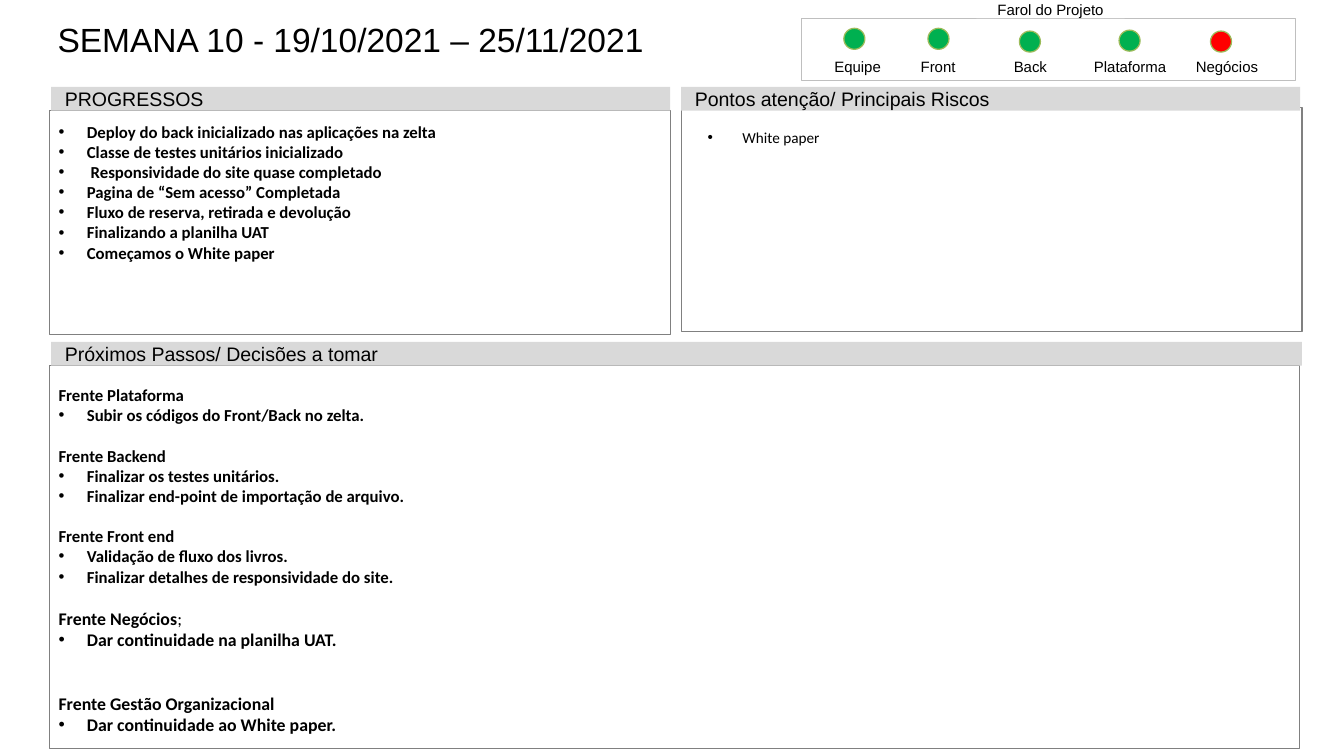
from lxml import etree
from pptx import Presentation
from pptx.dml.color import RGBColor
from pptx.enum.shapes import MSO_SHAPE
from pptx.enum.text import MSO_ANCHOR, MSO_AUTO_SIZE, PP_ALIGN
from pptx.oxml.ns import qn
from pptx.util import Inches, Pt

RECTANGLE, OVAL = MSO_SHAPE.RECTANGLE, MSO_SHAPE.OVAL
TOP, MIDDLE, BOTTOM = MSO_ANCHOR.TOP, MSO_ANCHOR.MIDDLE, MSO_ANCHOR.BOTTOM
LEFT, CENTER = PP_ALIGN.LEFT, PP_ALIGN.CENTER
COMPARISON_LAYOUT = 4
COLORS = {
    "text": "000000", "white": "FFFFFF", "band": "D9D9D9", "frame": "808080",
    "status_frame": "BFBFBF", "light_edge": "9BBB59",
    "green": "00B050", "red": "FF0000",
}


class StatusSlide:
    """Draws the elements of a weekly status slide in one style."""

    def __init__(self, slide):
        self.slide = slide
        self.heading_font, self.list_font = "Arial", "Calibri"

    def color(self, name):
        return RGBColor.from_string(COLORS[name])

    def place(self, shape, box):
        shape.left, shape.top, shape.width, shape.height = map(Inches, box)

    def outline(self, shape, color, width):
        shape.line.color.rgb = self.color(color)
        shape.line.width = Pt(width)

    def frame_text(self, shape, anchor, insets, wrap=True):
        text_frame = shape.text_frame
        text_frame.auto_size = MSO_AUTO_SIZE.NONE
        text_frame.word_wrap = wrap
        text_frame.vertical_anchor = anchor
        (text_frame.margin_left, text_frame.margin_top,
         text_frame.margin_right, text_frame.margin_bottom) = map(Inches, insets)
        return text_frame

    def add_run(self, paragraph, text, font, size, bold=False):
        run = paragraph.add_run()
        run.text = text
        run.font.name, run.font.size, run.font.bold = font, Pt(size), bold
        run.font.color.rgb = self.color("text")

    def title(self, text, box):
        shape = self.slide.shapes.title
        self.place(shape, box)
        paragraph = self.frame_text(shape, TOP, (0.12, 0.01, 0.12, 0)).paragraphs[0]
        paragraph.alignment = LEFT
        self.add_run(paragraph, text, self.heading_font, 26.4)

    def shape(self, kind, box, fill=None, line=None, width=1):
        shape = self.slide.shapes.add_shape(kind, *map(Inches, box))
        shape.shadow.inherit = False
        if fill:
            shape.fill.solid()
            shape.fill.fore_color.rgb = self.color(fill)
        else:
            shape.fill.background()
        if line:
            self.outline(shape, line, width)
        else:
            shape.line.fill.background()
        return shape

    def band(self, text, box):
        shape = self.shape(RECTANGLE, box, "band")
        paragraph = self.frame_text(shape, MIDDLE, (0.15, 0, 0.15, 0)).paragraphs[0]
        paragraph.alignment = LEFT
        self.add_run(paragraph, text, self.heading_font, 15.4)

    def label(self, text, box, fill=None):
        shape = self.shape(RECTANGLE, box, fill)
        text_frame = self.frame_text(shape, BOTTOM, (0.06, 0, 0.06, 0), wrap=False)
        paragraph = text_frame.paragraphs[0]
        paragraph.alignment = CENTER
        self.add_run(paragraph, text, self.heading_font, 11.8)

    def list_panel(self, index, box, insets, items, indent=0.31):
        """Fill a body placeholder; each item is (runs, size, gap, bulleted)."""
        shape = self.slide.placeholders[index]
        self.place(shape, box)
        self.outline(shape, "frame", 1)
        text_frame = self.frame_text(shape, TOP, insets)
        for number, (runs, size, gap, bulleted) in enumerate(items):
            paragraph = text_frame.add_paragraph() if number else text_frame.paragraphs[0]
            paragraph.alignment = LEFT
            paragraph.space_before, paragraph.space_after = Pt(gap), Pt(0)
            self.set_bullet(paragraph, indent if bulleted else 0)
            for text, bold in runs:
                self.add_run(paragraph, text, self.list_font, size, bold)

    def set_bullet(self, paragraph, indent):
        properties = paragraph._p.get_or_add_pPr()
        properties.set("marL", str(Inches(indent)))
        properties.set("indent", str(-Inches(indent)))
        if indent:
            etree.SubElement(properties, qn("a:buFont")).set("typeface", "Arial")
            etree.SubElement(properties, qn("a:buChar")).set("char", "•")
        else:
            etree.SubElement(properties, qn("a:buNone"))


presentation = Presentation()
presentation.slide_width, presentation.slide_height = Inches(14.7), Inches(8.27)
slide = presentation.slides.add_slide(presentation.slide_layouts[COMPARISON_LAYOUT])
status = StatusSlide(slide)
unused = slide.placeholders[3]
unused.element.getparent().remove(unused.element)

status.title("SEMANA 10 - 19/10/2021 – 25/11/2021", (0.51, 0.2, 8, 0.7))

PROGRESS = [
    "Deploy do back inicializado nas aplicações na zelta",
    "Classe de testes unitários inicializado",
    " Responsividade do site quase completado",
    "Pagina de “Sem acesso” Completada",
    "Fluxo de reserva, retirada e devolução",
    "Finalizando a planilha UAT",
    "Começamos o White paper",
]
FRONTS = [
    ("Frente Plataforma", "", 13.2, 0, ["Subir os códigos do Front/Back no zelta."]),
    ("Frente Backend", "", 13.2, 16, 
     ["Finalizar os testes unitários.", "Finalizar end-point de importação de arquivo."]),
    ("Frente Front end", "", 13.2, 16,
     ["Validação de fluxo dos livros.", "Finalizar detalhes de responsividade do site."]),
    ("Frente Negócios", ";", 14, 16.5, ["Dar continuidade na planilha UAT."]),
    ("Frente Gestão Organizacional", "", 14, 33.5, ["Dar continuidade ao White paper."]),
]
next_steps = []
for front, ending, size, gap, tasks in FRONTS:
    heading = [(front, True)] + ([(ending, False)] if ending else [])
    next_steps.append((heading, size, gap, False))
    next_steps += [([(task, True)], size, 0, True) for task in tasks]

status.list_panel(1, (0.54, 1.21, 6.79, 2.45), (0.1, 0.12, 0.1, 0.05),
                  [([(text, True)], 13.2, 0, True) for text in PROGRESS])
status.list_panel(2, (7.45, 1.18, 6.79, 2.45), (0.29, 0.22, 0.1, 0.05),
                  [([("White paper", False)], 12, 0, True)], indent=0.38)
status.list_panel(4, (0.54, 4, 13.67, 4.19), (0.1, 0.21, 0.1, 0.05), next_steps)

for text, left, top, width in [
    ("PROGRESSOS", 0.56, 0.95, 6.77),
    ("Pontos atenção/ Principais Riscos", 7.45, 0.95, 6.77),
    ("Próximos Passos/ Decisões a tomar", 0.56, 3.74, 13.68),
]:
    status.band(text, (left, top, width, 0.26))

status.shape(RECTANGLE, (8.77, 0.2, 5.4, 0.68), line="status_frame", width=0.5)
status.label("Farol do Projeto", (10.68, 0, 1.62, 0.2), "white")
for text, label_left, light_left, light_top, color in [
    ("Equipe", 8.89, 9.23, 0.31, "green"),
    ("Front", 9.77, 10.15, 0.31, "green"),
    ("Back", 10.78, 11.15, 0.34, "green"),
    ("Plataforma", 11.87, 12.24, 0.33, "green"),
    ("Negócios", 12.93, 13.24, 0.34, "red"),
]:
    status.label(text, (label_left, 0.63, 0.98, 0.2))
    status.shape(OVAL, (light_left, light_top, 0.23, 0.23), color, "light_edge")

presentation.save("out.pptx")
